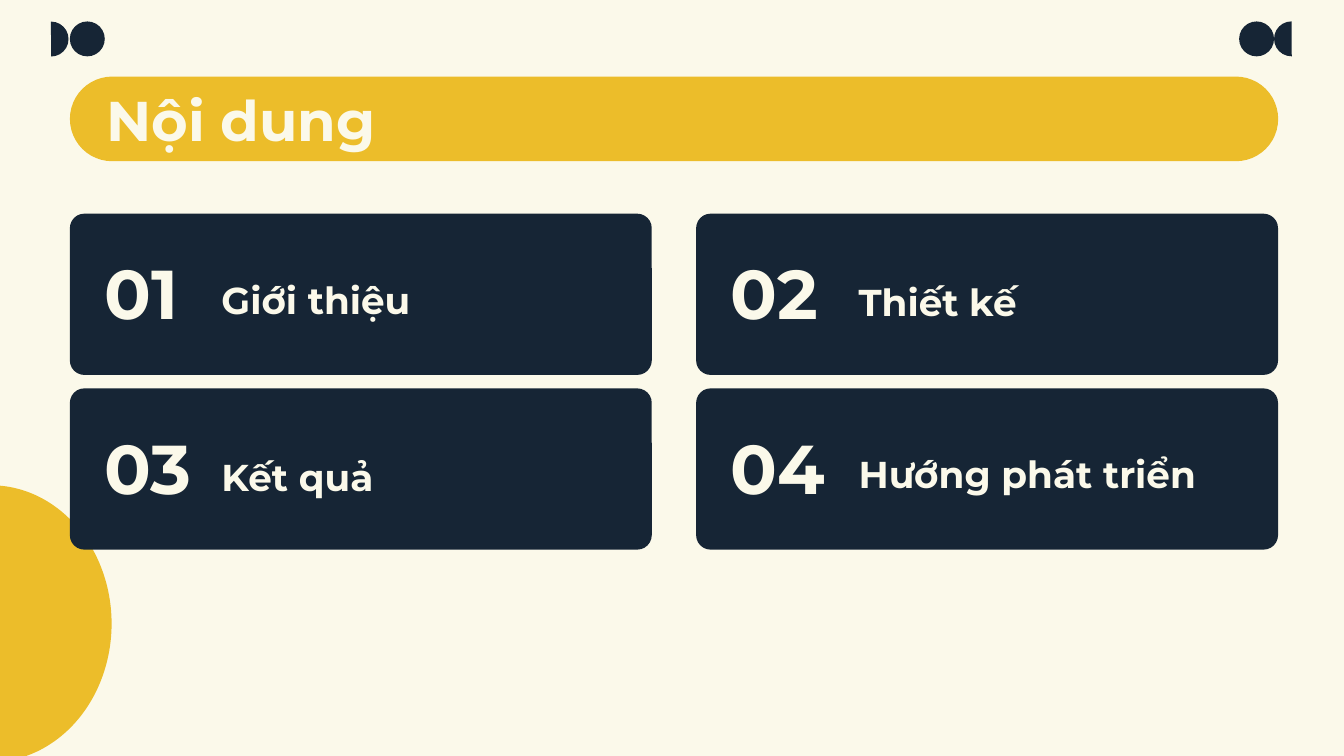
from pptx import Presentation
from pptx.dml.color import RGBColor
from pptx.enum import shapes, text
from pptx.util import Inches, Pt

CREAM = RGBColor(0xFB, 0xF9, 0xEA)
NAVY = RGBColor(0x16, 0x25, 0x35)
GOLD = RGBColor(0xEC, 0xBD, 0x2A)
FONT = "Montserrat"
SHAPE = shapes.MSO_SHAPE
ANCHOR = text.MSO_ANCHOR

TITLE = "Nội dung"
# number, heading, heading offset inside its card
TOPICS = [
    ("01", "Giới thiệu", 1.03, 0.37),
    ("02", "Thiết kế", 1.11, 0.39),
    ("03", "Kết quả", 1.03, 0.39),
    ("04", "Hướng phát triển", 1.11, 0.37),
]
SLIDE_W = 10
LEFT, TOP = 0.52, 1.59
CARD_W, CARD_H = 4.33, 1.2
STEP_X, STEP_Y = 4.66, 1.3
DOT, DOT_TOP = 0.26, 0.16
HALF = (53.46, 162)

prs = Presentation()
prs.slide_width, prs.slide_height = Inches(SLIDE_W), Inches(SLIDE_W * 9 / 16)
s = prs.slides.add_slide(prs.slide_layouts[6])
s.background.fill.solid()
s.background.fill.fore_color.rgb = CREAM


def add_block(kind, x, y, w, h, color, adjustments=(), rotation=0):
    sp = s.shapes.add_shape(kind, Inches(x), Inches(y), Inches(w), Inches(h))
    sp.shadow.inherit = False
    sp.fill.solid()
    sp.fill.fore_color.rgb = color
    sp.line.fill.background()
    sp.rotation = rotation
    for i, value in enumerate(adjustments):
        sp.adjustments[i] = value


def add_label(words, x, y, w, h, size, anchor=ANCHOR.MIDDLE, inset=0.1):
    tf = s.shapes.add_textbox(Inches(x), Inches(y), Inches(w), Inches(h)).text_frame
    tf.word_wrap = True
    tf.vertical_anchor = anchor
    tf.margin_left = tf.margin_right = Inches(inset)
    tf.margin_top = tf.margin_bottom = Inches(inset)
    r = tf.paragraphs[0].add_run()
    r.text = words
    r.font.name, r.font.size, r.font.bold = FONT, Pt(size), True
    r.font.color.rgb = CREAM


add_block(SHAPE.PIE, -0.97, 3.61, 1.8, 2.06, GOLD, HALF, 180)
for half_x, dot_x, rotation in [(0.25, 0.52, 180), (9.48, 9.22, 0)]:
    add_block(SHAPE.PIE, half_x, DOT_TOP, DOT, DOT, NAVY, HALF, rotation)
    add_block(SHAPE.OVAL, dot_x, DOT_TOP, DOT, DOT, NAVY)

add_block(SHAPE.ROUNDED_RECTANGLE, LEFT, 0.57, 8.99, 0.63, GOLD, [0.5])
add_label(TITLE, 0.79, 0.57, 8.43, 0.63, 30, inset=0)

for i, (number, heading, dx, dy) in enumerate(TOPICS):
    row, col = divmod(i, 2)
    x, y = LEFT + col * STEP_X, TOP + row * STEP_Y
    add_block(SHAPE.ROUNDED_RECTANGLE, x, y, CARD_W, CARD_H, NAVY, [0.09])
    add_label(number, x + 0.16, y + 0.13, 0.96, 0.91, 37)
    add_label(heading, x + dx, y + dy, 3.1, 0.43, 20, ANCHOR.TOP)

prs.save("out.pptx")
